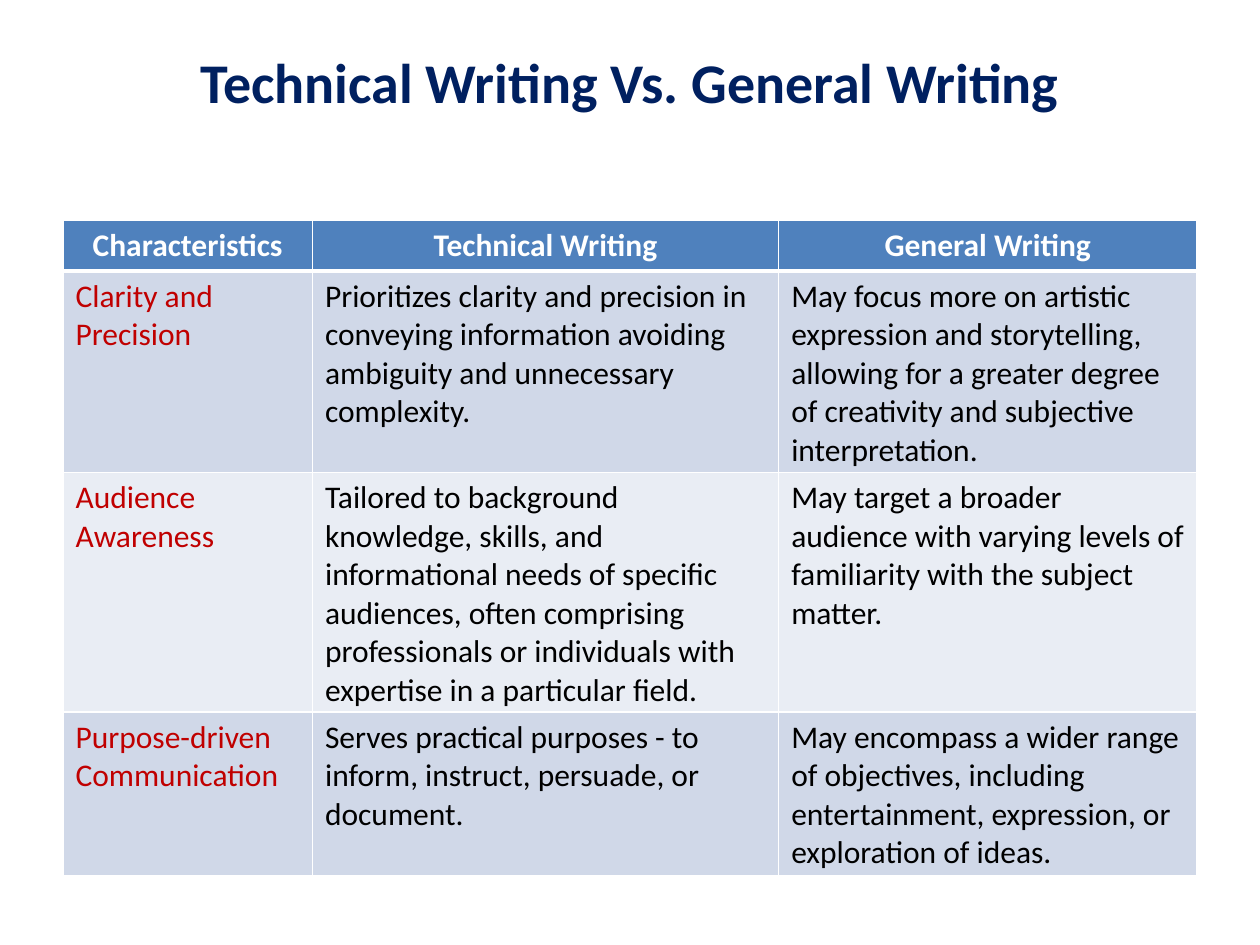
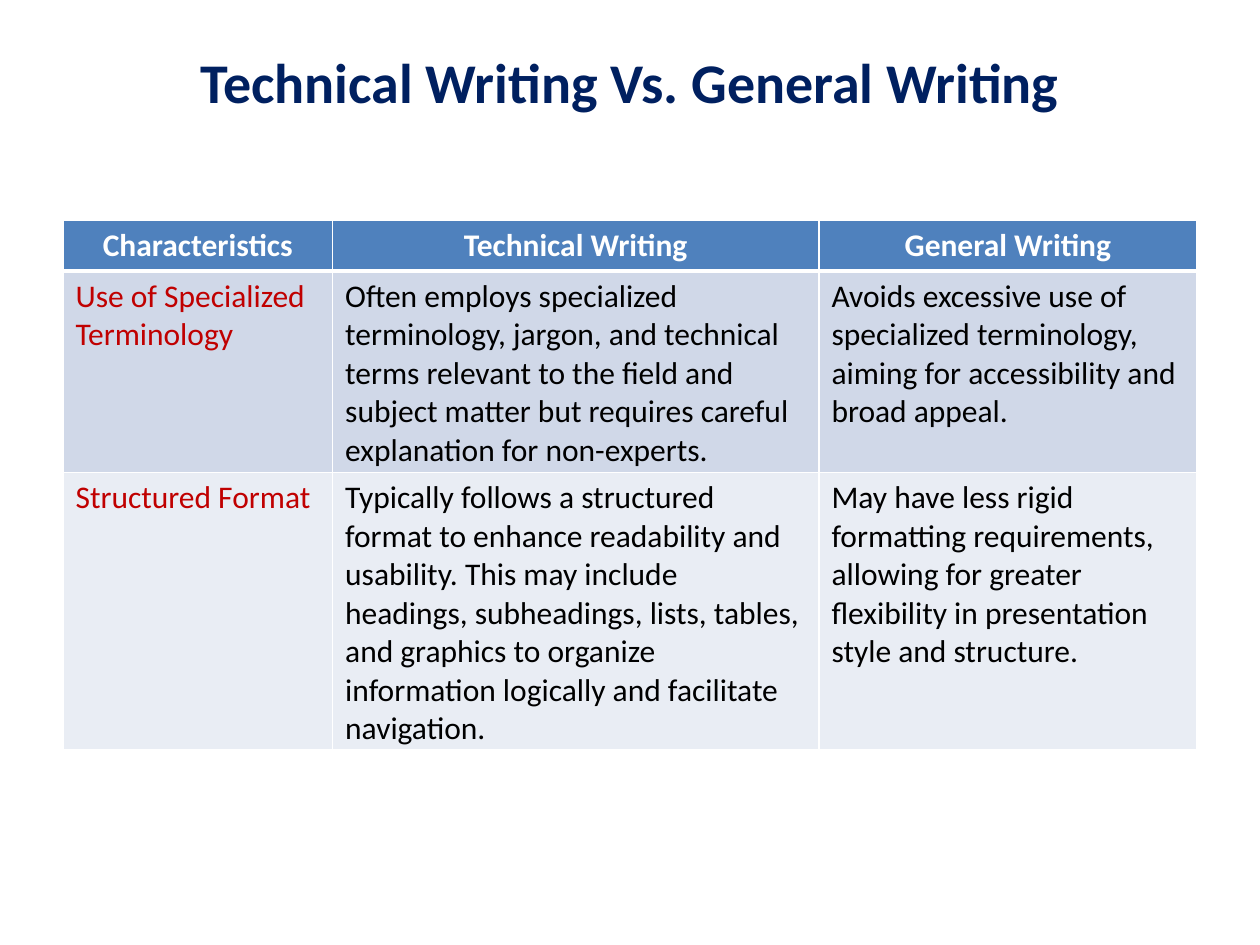
"""Build two slides comparing technical writing with general writing."""
from lxml.etree import SubElement
from pptx import Presentation
from pptx.dml.color import RGBColor
from pptx.enum.text import MSO_ANCHOR, PP_ALIGN
from pptx.oxml.ns import qn
from pptx.util import Inches, Pt

COLORS = {
    "title": "002060",
    "header": "4F81BD",
    "odd_row": "D0D8E8",
    "even_row": "E9EDF4",
    "border": "FFFFFF",
    "header_text": "FFFFFF",
    "characteristic": "C00000",
    "body_text": "000000",
}
FONT = "Calibri"
TITLE = "Technical Writing Vs. General Writing"
HEADERS = ("Characteristics", "Technical Writing", "General Writing")
LINE_HEIGHT, CELL_PADDING = Inches(0.3), Inches(0.1)
THIN, THICK = Pt(1), Pt(3)

COMPARISONS = [
    {
        "columns": (1.98, 3.7, 3.32),
        "lines": (1, 5, 6, 4),
        "rows": [
            ("Clarity and Precision",
             "Prioritizes clarity and precision in conveying information avoiding "
             "ambiguity and unnecessary complexity.",
             "May focus more on artistic expression and storytelling, allowing for a "
             "greater degree of creativity and subjective interpretation."),
            ("Audience Awareness",
             "Tailored to background knowledge, skills, and informational needs of "
             "specific audiences, often comprising professionals or individuals with "
             "expertise in a particular field.",
             "May target a broader audience with varying levels of familiarity with "
             "the subject matter."),
            ("Purpose-driven Communication",
             "Serves practical purposes - to inform, instruct, persuade, or document.",
             "May encompass a wider range of objectives, including entertainment, "
             "expression, or exploration of ideas."),
        ],
    },
    {
        "columns": (2.14, 3.86, 3),
        "lines": (1, 5, 7),
        "rows": [
            ("Use of Specialized Terminology",
             "Often employs specialized terminology, jargon, and technical terms "
             "relevant to the field and subject matter but requires careful "
             "explanation for non-experts.",
             "Avoids excessive use of specialized terminology, aiming for "
             "accessibility and broad appeal."),
            ("Structured Format",
             "Typically follows a structured format to enhance readability and "
             "usability. This may include headings, subheadings, lists, tables, and "
             "graphics to organize information logically and facilitate navigation.",
             "May have less rigid formatting requirements, allowing for greater "
             "flexibility in presentation style and structure."),
        ],
    },
]


def write(text_frame, text, size, color, bold=False, align=PP_ALIGN.LEFT):
    text_frame.text = text
    text_frame.word_wrap = True
    paragraph = text_frame.paragraphs[0]
    paragraph.alignment = align
    font = paragraph.runs[0].font
    font.name, font.size, font.bold = FONT, Pt(size), bold
    font.color.rgb = RGBColor.from_string(COLORS[color])


def add_borders(cell, top, bottom):
    properties = cell._tc.get_or_add_tcPr()
    for side, width in (("L", THIN), ("R", THIN), ("T", top), ("B", bottom)):
        line = SubElement(properties, qn(f"a:ln{side}"), w=str(width))
        fill = SubElement(line, qn("a:solidFill"))
        SubElement(fill, qn("a:srgbClr"), val=COLORS["border"])


presentation = Presentation()
presentation.slide_width, presentation.slide_height = Inches(10), Inches(7.5)
width, height = presentation.slide_width, presentation.slide_height
margin = int(width * 0.05)
content_width = width - 2 * margin
blank_layout = presentation.slide_layouts[6]

for comparison in COMPARISONS:
    slide = presentation.slides.add_slide(blank_layout)

    title = slide.shapes.add_textbox(margin, int(height * 0.04), content_width, Inches(0.69))
    write(title.text_frame, TITLE, 32, "title", True, PP_ALIGN.CENTER)
    title.text_frame.vertical_anchor = MSO_ANCHOR.MIDDLE

    rows = [HEADERS, *comparison["rows"]]
    row_heights = [CELL_PADDING + lines * LINE_HEIGHT for lines in comparison["lines"]]
    table = slide.shapes.add_table(
        len(rows), len(HEADERS), margin, Inches(1.75), content_width, sum(row_heights)
    ).table
    for column, column_width in zip(table.columns, comparison["columns"]):
        column.width = Inches(column_width)

    for row_index, texts in enumerate(rows):
        table.rows[row_index].height = row_heights[row_index]
        is_header = row_index == 0
        fill_color = "header" if is_header else "odd_row" if row_index % 2 else "even_row"
        for column_index, text in enumerate(texts):
            cell = table.cell(row_index, column_index)
            add_borders(cell, THICK if row_index == 1 else THIN, THICK if is_header else THIN)
            cell.fill.solid()
            cell.fill.fore_color.rgb = RGBColor.from_string(COLORS[fill_color])
            if is_header:
                write(cell.text_frame, text, 18, "header_text", True, PP_ALIGN.CENTER)
            else:
                text_color = "body_text" if column_index else "characteristic"
                write(cell.text_frame, text, 18, text_color)

presentation.save("out.pptx")
